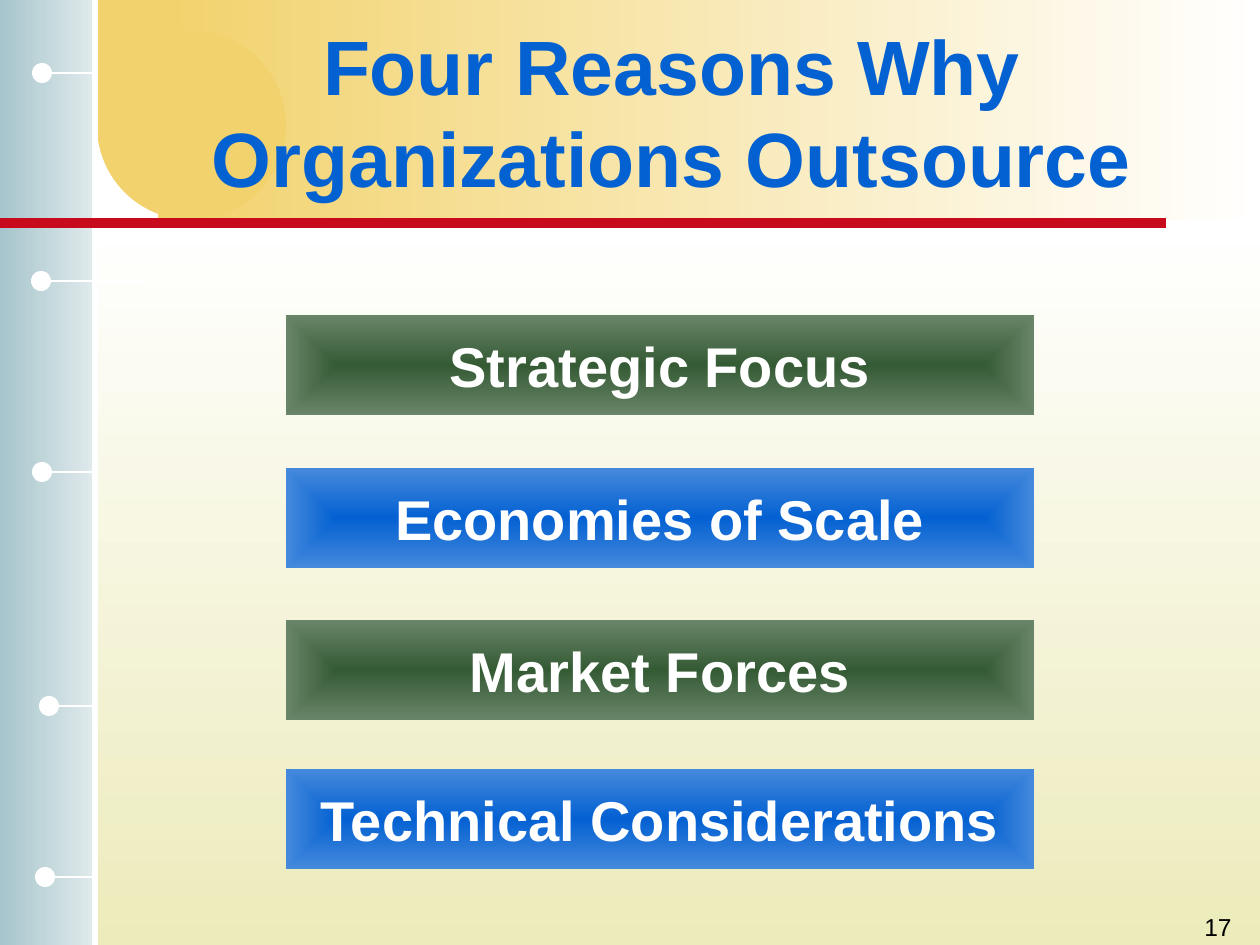
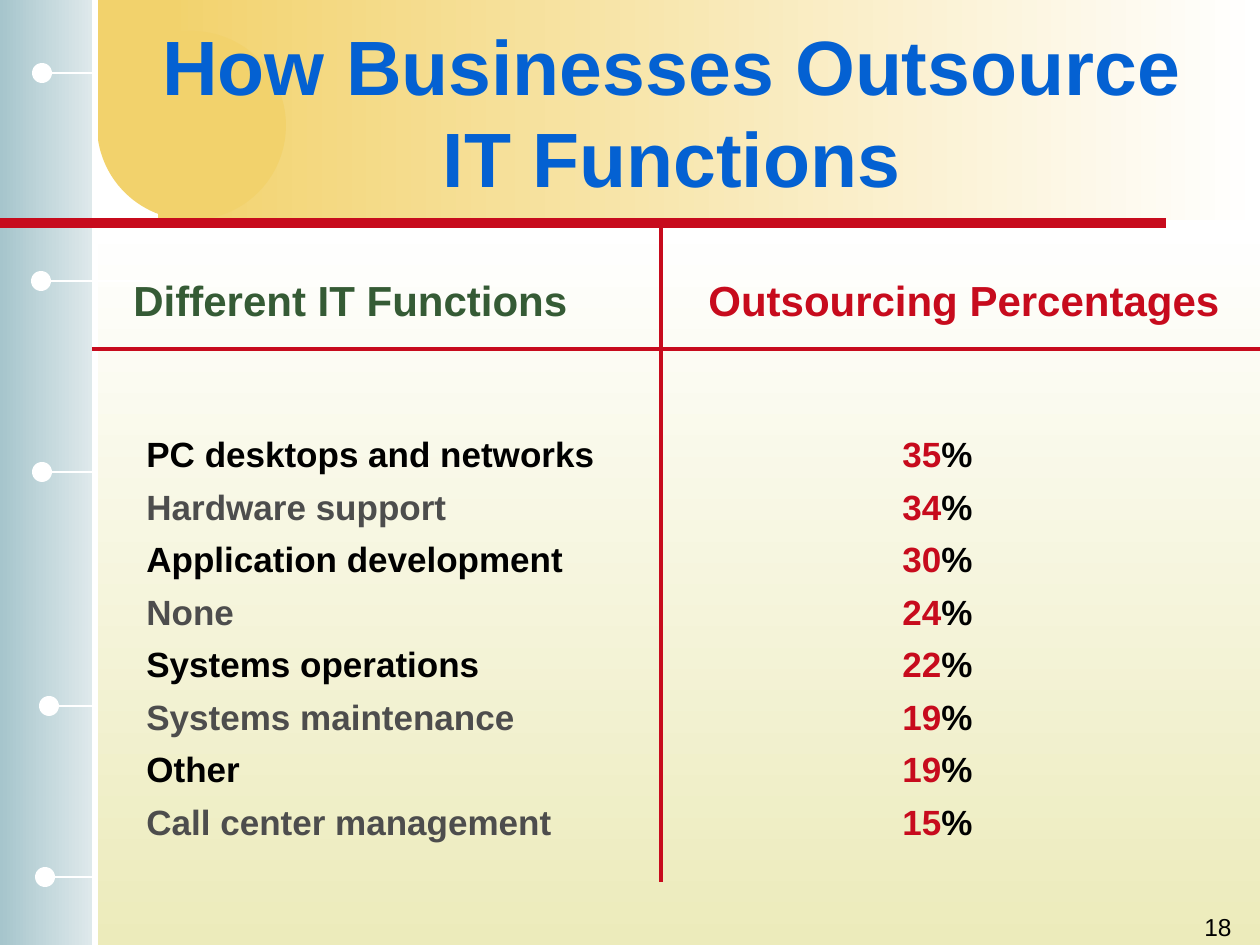
from lxml.etree import SubElement
from pptx import Presentation
from pptx.dml.color import RGBColor
from pptx.enum.shapes import MSO_CONNECTOR, MSO_SHAPE
from pptx.enum.text import MSO_ANCHOR, MSO_AUTO_SIZE, PP_ALIGN
from pptx.oxml.ns import qn
from pptx.util import Pt

SCALE = 914400 / 126
WIDTH, HEIGHT = 1260, 945
FONT = "Arial"
COLORS = {
    "white": "FFFFFF", "black": "000000", "gray": "4D4D4D", "red": "C70B1D",
    "blue": "0461D2", "light_blue": "4589DC", "green": "355B35",
    "light_green": "698569", "cream": "ECEBBB", "gold": "F2D26C",
    "mist": "E0EAEC", "teal": "A6C5CC",
}
REASONS = [("Strategic Focus", 0), ("Economies of Scale", 153),
           ("Market Forces", 305), ("Technical Considerations", 454)]
FUNCTIONS = [
    ("PC desktops and networks", 35), ("Hardware support", 34),
    ("Application development", 30), ("None", 24),
    ("Systems operations", 22), ("Systems maintenance", 19),
    ("Other", 19), ("Call center management", 15),
]
PINS = [(32, 73, 95), (31, 281, 147), (32, 472, 95), (39, 706, 95), (35, 877, 95)]


def px(n):
    """Turn pixels into EMU."""
    return round(n * SCALE)


def rgb(name):
    """Look up a named colour."""
    return RGBColor.from_string(COLORS[name])


def style(p, size, color, bold=True, align=PP_ALIGN.LEFT):
    """Set the font and alignment of a paragraph."""
    p.alignment = align
    p.font.name, p.font.size, p.font.bold = FONT, Pt(size), bold
    p.font.color.rgb = rgb(color)


def add_block(slide, kind, box, *colors, angle=0):
    """Add an unlined shape with one solid colour or a two-colour gradient."""
    s = slide.shapes.add_shape(kind, *map(px, box))
    s.shadow.inherit = False
    s.line.fill.background()
    if len(colors) == 1:
        s.fill.solid()
        s.fill.fore_color.rgb = rgb(colors[0])
    else:
        s.fill.gradient()
        s.fill.gradient_angle = angle
        for stop, color, position in zip(s.fill.gradient_stops, colors, (0, 1)):
            stop.color.rgb = rgb(color)
            stop.position = position
    return s


def add_line(slide, x1, y1, x2, y2, color, width):
    """Add a straight line without shadow."""
    c = slide.shapes.add_connector(MSO_CONNECTOR.STRAIGHT, *map(px, (x1, y1, x2, y2)))
    c.line.color.rgb = rgb(color)
    c.line.width = Pt(width)
    SubElement(c._element.spPr, qn("a:effectLst"))


def add_text(slide, box, text, size, color, **options):
    """Add a one-line text box."""
    tf = slide.shapes.add_textbox(*map(px, box)).text_frame
    tf.word_wrap = True
    p = tf.paragraphs[0]
    p.text = text
    style(p, size, color, **options)


def add_frame(slide):
    """Draw the side band, title band and pins."""
    rect, oval = MSO_SHAPE.RECTANGLE, MSO_SHAPE.OVAL
    add_block(slide, rect, (92, 223, 1168, 722), "white", "cream", angle=270)
    add_block(slide, rect, (0, 0, 95, HEIGHT), "mist", "teal", angle=180)
    add_block(slide, rect, (158, 0, 1102, 220), "white", "gold", angle=180)
    add_block(slide, oval, (97, 31, 189, 189), "gold")
    add_block(slide, rect, (97, 0, 84, 121), "gold")
    add_line(slide, 95, 0, 95, HEIGHT, "white", 3)
    for left, y, end in PINS:
        add_line(slide, left + 10, y, end, y, "white", 1.5)
        add_block(slide, oval, (left, y - 10, 20, 20), "white")
    add_line(slide, 0, 223, 1166, 223, "red", 6)


def move_to_layout(slide):
    """Move the frame parts of a slide behind its layout's placeholders."""
    tree = slide.slide_layout.shapes._spTree
    parts = [s for s in slide.shapes if not s.is_placeholder]
    for i, s in enumerate(parts):
        s._element.xpath(".//p:cNvPr")[0].set("id", str(100 + i))
        tree.insert(2 + i, s._element)


def add_heading(slide, title, number):
    """Fill the title placeholder and add the slide number."""
    s = slide.shapes.title
    s.left, s.top, s.width, s.height = map(px, (136, 32, 1072, 158))
    tf = s.text_frame
    tf.text = title
    tf.word_wrap = True
    tf.auto_size = MSO_AUTO_SIZE.NONE
    tf.vertical_anchor = MSO_ANCHOR.MIDDLE
    style(tf.paragraphs[0], 44, "blue", align=PP_ALIGN.CENTER)
    add_text(slide, (982, 906, 262, 39), str(number), 14, "black",
             bold=False, align=PP_ALIGN.RIGHT)


def add_reasons(slide, left, top, width):
    """Stack the reason bars in alternating colours."""
    pairs = [("green", "light_green"), ("blue", "light_blue")]
    for i, (reason, offset) in enumerate(REASONS):
        s = add_block(slide, MSO_SHAPE.RECTANGLE,
                      (left, top + offset, width, 100), *pairs[i % 2])
        grad = s._element.spPr.find(qn("a:gradFill"))
        grad.remove(grad.find(qn("a:lin")))
        path = SubElement(grad, qn("a:path"), {"path": "rect"})
        SubElement(path, qn("a:fillToRect"), dict.fromkeys("ltrb", "50000"))
        tf = s.text_frame
        tf.word_wrap = False
        tf.vertical_anchor = MSO_ANCHOR.MIDDLE
        tf.text = reason
        style(tf.paragraphs[0], 32, "white", align=PP_ALIGN.CENTER)


def add_functions(slide, left, top):
    """Draw the two-column list of functions and percentages."""
    add_text(slide, (left + 29, top + 45, 500, 63), "Different IT Functions", 24, "green")
    add_text(slide, (left + 604, top + 45, 560, 63), "Outsourcing Percentages", 24, "red")
    add_line(slide, left, top + 126, WIDTH, top + 126, "red", 2.25)
    add_line(slide, left + 569, top + 2, left + 569, top + 659, "red", 2.25)
    box = (left + 42, top + 193, 950, 433)
    tf = slide.shapes.add_textbox(*map(px, box)).text_frame
    tf.word_wrap = True
    tf.auto_size = MSO_AUTO_SIZE.SHAPE_TO_FIT_TEXT
    for i, (name, share) in enumerate(FUNCTIONS):
        p = tf.add_paragraph() if i else tf.paragraphs[0]
        tabs = SubElement(p._p.get_or_add_pPr(), qn("a:tabLst"))
        SubElement(tabs, qn("a:tab"), {"pos": str(px(756)), "algn": "l"})
        p.line_spacing = 1.25
        style(p, 20, "black")
        for text, color in ((name + "\t", ("black", "gray")[i % 2]),
                            (str(share), "red"), ("%", "black")):
            r = p.add_run()
            r.text = text
            r.font.color.rgb = rgb(color)


def main():
    """Build and save the slides."""
    prs = Presentation()
    prs.slide_width, prs.slide_height = px(WIDTH), px(HEIGHT)
    layout = prs.slide_layouts[5]

    reasons = prs.slides.add_slide(layout)
    add_frame(reasons)
    move_to_layout(reasons)
    add_heading(reasons, "Four Reasons Why Organizations Outsource", 17)
    add_reasons(reasons, 286, 315, 748)

    functions = prs.slides.add_slide(layout)
    add_heading(functions, "How Businesses Outsource IT Functions", 18)
    add_functions(functions, 92, 223)
    prs.save("out.pptx")


if __name__ == "__main__":
    main()
